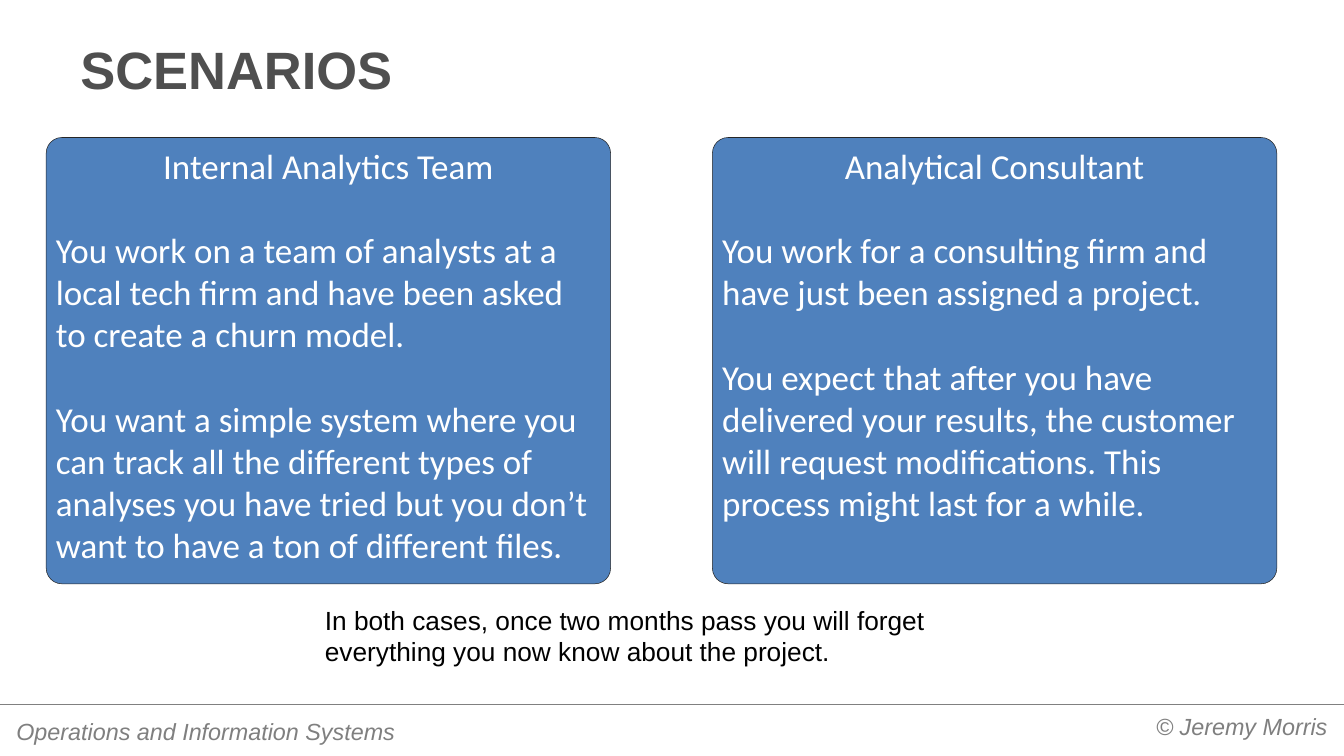
import pptx
import pptx.dml.color
import pptx.enum.shapes
import pptx.enum.text
import pptx.oxml
import pptx.oxml.ns
import pptx.util

ALIGN = pptx.enum.text.PP_ALIGN
ANCHOR = pptx.enum.text.MSO_ANCHOR
SHAPE = pptx.enum.shapes.MSO_SHAPE

WIDTH, HEIGHT = pptx.util.Inches(25.6), pptx.util.Inches(14.4)

COLORS = {
    "heading": "4F4F4F",
    "card": "4F81BD",
    "card_line": "262626",
    "card_text": "FFFFFF",
    "caption": "000000",
    "footer": "7F7F7F",
    "rule": "808080",
}

# Font formats
HEADING = {"name": "Arial", "size": pptx.util.Pt(72), "bold": True}
CARD = {"name": "Calibri", "size": pptx.util.Pt(48)}
CAPTION = {"name": "Arial", "size": pptx.util.Pt(36)}
FOOTER = {"name": "Arial", "size": pptx.util.Pt(32), "italic": True}

# Card row, in percent of the slide
CARD_LEFT, CARD_TOP, CARD_WIDTH, CARD_HEIGHT = 3.44, 18.19, 41.99, 59.03
CARD_PITCH = 49.57
RULE_TOP = 93.13

SCENARIOS = [
    ("Internal Analytics Team", [
        "You work on a team of analysts at a local tech firm and have been "
        "asked to create a churn model.",
        "You want a simple system where you can track all the different types "
        "of analyses you have tried but you don’t want to have a ton of "
        "different files.",
    ]),
    ("Analytical Consultant", [
        "You work for a consulting firm and have just been assigned a project.",
        "You expect that after you have delivered your results, the customer "
        "will request modifications. This process might last for a while.",
    ]),
]


def across(percent):
    return round(WIDTH * percent / 100)


def down(percent):
    return round(HEIGHT * percent / 100)


def area(left, top, width, height):
    """Turn percentages of the slide into a position and size."""
    return across(left), down(top), across(width), down(height)


def rgb(color):
    return pptx.dml.color.RGBColor.from_string(COLORS[color])


def apply(target, formats):
    for attribute, value in formats.items():
        setattr(target, attribute, value)


def set_frame(frame, side=0.1, edge=0.05, anchor=ANCHOR.TOP):
    apply(frame, {
        "word_wrap": True,
        "auto_size": pptx.enum.text.MSO_AUTO_SIZE.NONE,
        "vertical_anchor": anchor,
        "margin_left": pptx.util.Inches(side),
        "margin_right": pptx.util.Inches(side),
        "margin_top": pptx.util.Inches(edge),
        "margin_bottom": pptx.util.Inches(edge),
    })


def write(paragraph, text, font, color, align=ALIGN.LEFT):
    paragraph.alignment = align
    run = paragraph.add_run()
    run.text = text
    apply(run.font, font)
    run.font.color.rgb = rgb(color)


def add_heading(slide, text):
    heading = slide.shapes.title
    place = area(5, 3.68, 90, 10.35)
    apply(heading, dict(zip(("left", "top", "width", "height"), place)))
    set_frame(heading.text_frame, 0.25, 0.12, ANCHOR.BOTTOM)
    write(heading.text_frame.paragraphs[0], text, HEADING, "heading")


def add_note(slide, place, text, font, color, align=ALIGN.LEFT, **margins):
    note = slide.shapes.add_textbox(*area(*place))
    set_frame(note.text_frame, **margins)
    write(note.text_frame.paragraphs[0], text, font, color, align)


def add_card(slide, column, name, statements):
    place = area(CARD_LEFT + column * CARD_PITCH, CARD_TOP, CARD_WIDTH, CARD_HEIGHT)
    card = slide.shapes.add_shape(SHAPE.ROUNDED_RECTANGLE, *place)
    card.adjustments[0] = 0.035
    card.shadow.inherit = False
    card.fill.solid()
    card.fill.fore_color.rgb = rgb("card")
    card.line.color.rgb = rgb("card_line")
    card.line.width = pptx.util.Pt(0.75)
    set_frame(card.text_frame)
    write(card.text_frame.paragraphs[0], name, CARD, "card_text", ALIGN.CENTER)
    for statement in statements:
        paragraph = card.text_frame.add_paragraph()
        paragraph.space_before = pptx.util.Pt(58)
        write(paragraph, statement, CARD, "card_text")


def add_footer(slide):
    rule = slide.shapes.add_connector(
        pptx.enum.shapes.MSO_CONNECTOR.STRAIGHT,
        0, down(RULE_TOP), WIDTH, down(RULE_TOP))
    rule.line.color.rgb = rgb("rule")
    rule.line.width = pptx.util.Pt(0.75)
    properties = rule._element.spPr
    properties.append(pptx.oxml.parse_xml(
        f"<a:effectLst {pptx.oxml.ns.nsdecls('a')}/>"))
    margins = {"side": 0.18, "edge": 0.09}
    add_note(slide, (56.95, 93.61, 42.54, 8.75 - 2.36), "© Jeremy Morris",
             FOOTER, "footer", ALIGN.RIGHT, **margins)
    add_note(slide, (0.51, 94.17, 34.18, 5), "Operations and Information Systems",
             FOOTER, "footer", **margins)


def main():
    deck = pptx.Presentation()
    deck.slide_width, deck.slide_height = WIDTH, HEIGHT
    slide = deck.slides.add_slide(deck.slide_layouts[5])

    # Footer rule and credits
    add_footer(slide)

    # Heading
    add_heading(slide, "SCENARIOS")

    # One card for each scenario
    for column, (name, statements) in enumerate(SCENARIOS):
        add_card(slide, column, name, statements)

    # Shared conclusion
    add_note(slide, (23.79, 79.58, 52.42, 9.1),
             "In both cases, once two months pass you will forget everything "
             "you now know about the project.", CAPTION, "caption")

    deck.save("out.pptx")


if __name__ == "__main__":
    main()
